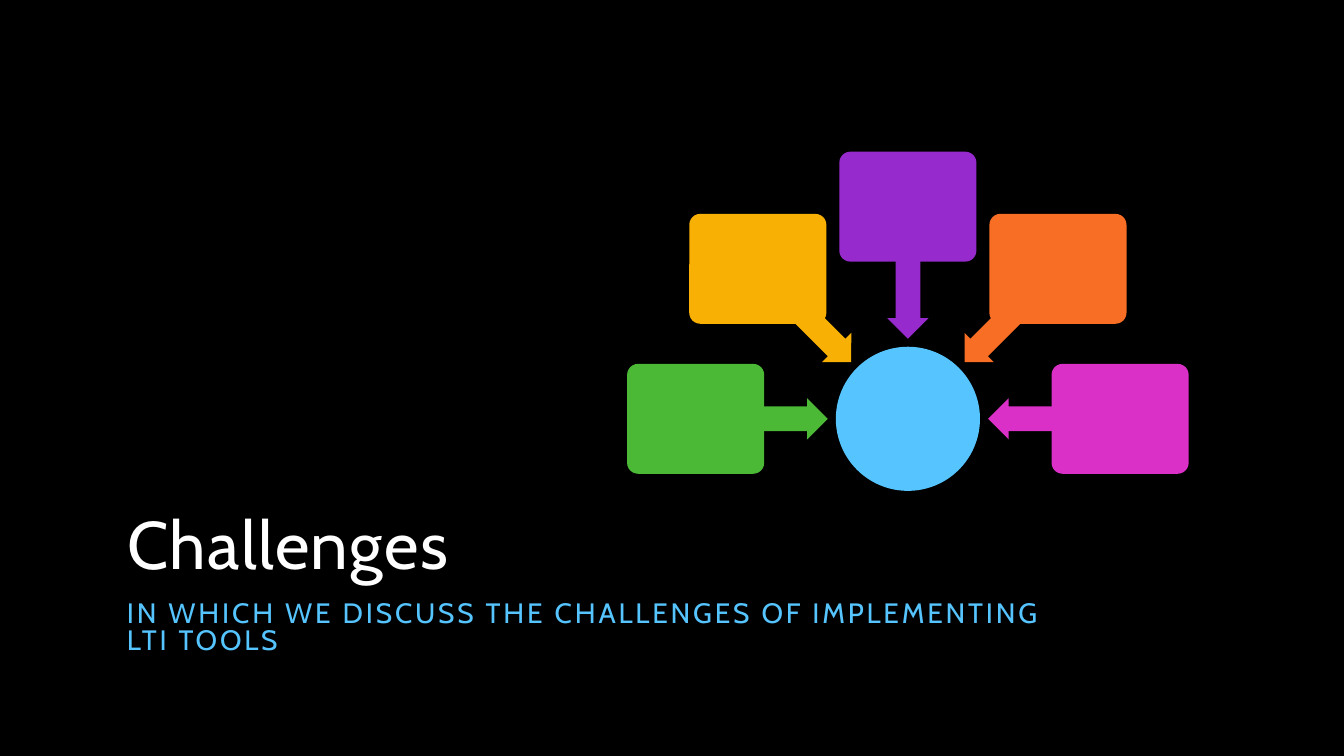
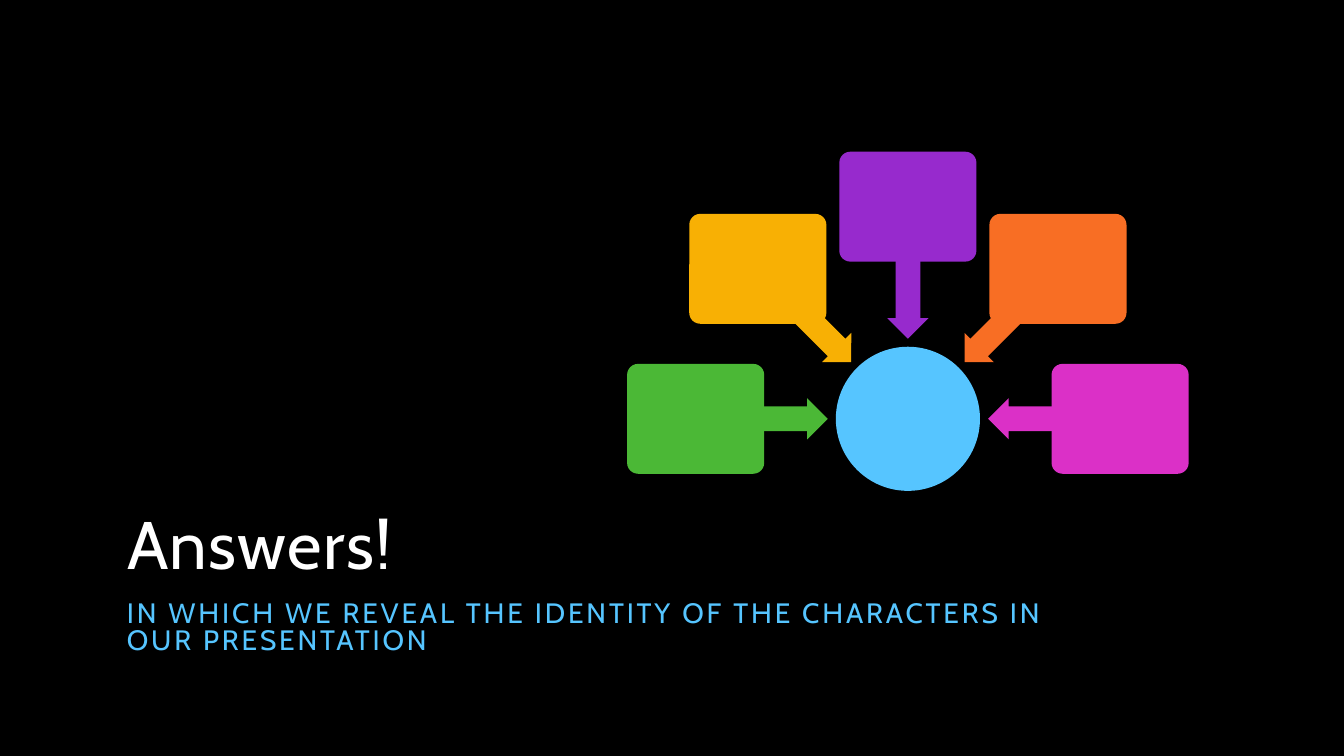
from math import cos, radians, sin

from pptx import Presentation
from pptx.dml.color import RGBColor
from pptx.enum.shapes import MSO_SHAPE
from pptx.enum.text import MSO_ANCHOR, MSO_AUTO_SIZE, PP_ALIGN
from pptx.util import Inches, Pt

FONT = "Cabin"
BLACK, WHITE, BLUE = "000000", "FFFFFF", "56C5FF"
# Spokes run clockwise from the left, one every 45 degrees
SPOKES = ["4BB836", "F8B004", "972ACD", "F86E24", "DB30C7"]
TITLE = (1.16, 2.75, 9.51, 3.08)
NOTE = (1.16, 5.92, 9.5, 0.67)
WHEEL = (6.22, 1.51, 5.57, 3.36)

SLIDES = [
    ("Challenges",
     "IN WHICH WE DISCUSS THE CHALLENGES OF IMPLEMENTING LTI TOOLS"),
    ("Answers!",
     "IN WHICH WE REVEAL THE IDENTITY OF THE CHARACTERS IN OUR PRESENTATION"),
]


def paint(fill, color):
    fill.solid()
    fill.fore_color.rgb = RGBColor.from_string(color)


def place(shape, box):
    shape.left, shape.top, shape.width, shape.height = map(Inches, box)


def write(shape, box, text, size, color, gap, anchor):
    """Fill a text shape with one line style; gap is letter spacing in points."""
    place(shape, box)
    frame = shape.text_frame
    frame.word_wrap = True
    frame.auto_size = MSO_AUTO_SIZE.NONE
    frame.vertical_anchor = anchor
    para = frame.paragraphs[0]
    run = para.add_run()
    run.text = text
    run._r.get_or_add_rPr().set("spc", str(gap * 100))
    para.alignment = PP_ALIGN.LEFT
    para.line_spacing = 0.8
    font = para.font
    font.name, font.size = FONT, Pt(size)
    font.color.rgb = RGBColor.from_string(color)


def add_part(group, kind, mid, size, color, turn=0, adjust=()):
    """Add a plain filled shape centred on mid."""
    (x, y), (w, h) = mid, size
    part = group.shapes.add_shape(
        kind, Inches(x - w / 2), Inches(y - h / 2), Inches(w), Inches(h))
    part.shadow.inherit = False
    paint(part.fill, color)
    part.line.fill.background()
    part.rotation = turn
    for i, value in enumerate(adjust):
        part.adjustments[i] = value


def add_wheel(slide, box):
    """Draw a hub at the foot of the box, with cards pointing at it."""
    left, top, width, height = box
    hub, card, arrow = 1.43, (1.36, 1.09), (1.31, 0.41)
    mid_x, mid_y = left + width / 2, top + height - hub / 2
    reach = (width - card[0]) / 2
    group = slide.shapes.add_group_shape()

    def polar(dist, turn):
        angle = radians(turn)
        return mid_x + dist * cos(angle), mid_y + dist * sin(angle)

    add_part(group, MSO_SHAPE.OVAL, (mid_x, mid_y), (hub, hub), BLUE)
    for i, color in enumerate(SPOKES):
        turn = 180 + 45 * i
        add_part(group, MSO_SHAPE.LEFT_ARROW, polar(1.45, turn), arrow,
                 color, turn % 360, (0.6, 0.5))
        add_part(group, MSO_SHAPE.ROUNDED_RECTANGLE, polar(reach, turn), card,
                 color, adjust=(0.1,))


def add_section(prs, title, note):
    slide = prs.slides.add_slide(prs.slide_layouts[5])
    write(slide.shapes.title, TITLE, title, 48, WHITE, 1, MSO_ANCHOR.BOTTOM)
    area = slide.shapes.add_textbox(*map(Inches, NOTE))
    write(area, NOTE, note, 20, BLUE, 2, MSO_ANCHOR.TOP)
    add_wheel(slide, WHEEL)


def main():
    prs = Presentation()
    prs.slide_width, prs.slide_height = Inches(13.33), Inches(7.5)
    # Shared backdrop
    paint(prs.slide_master.background.fill, BLACK)
    for title, note in SLIDES:
        add_section(prs, title, note)
    prs.save("out.pptx")


if __name__ == "__main__":
    main()
